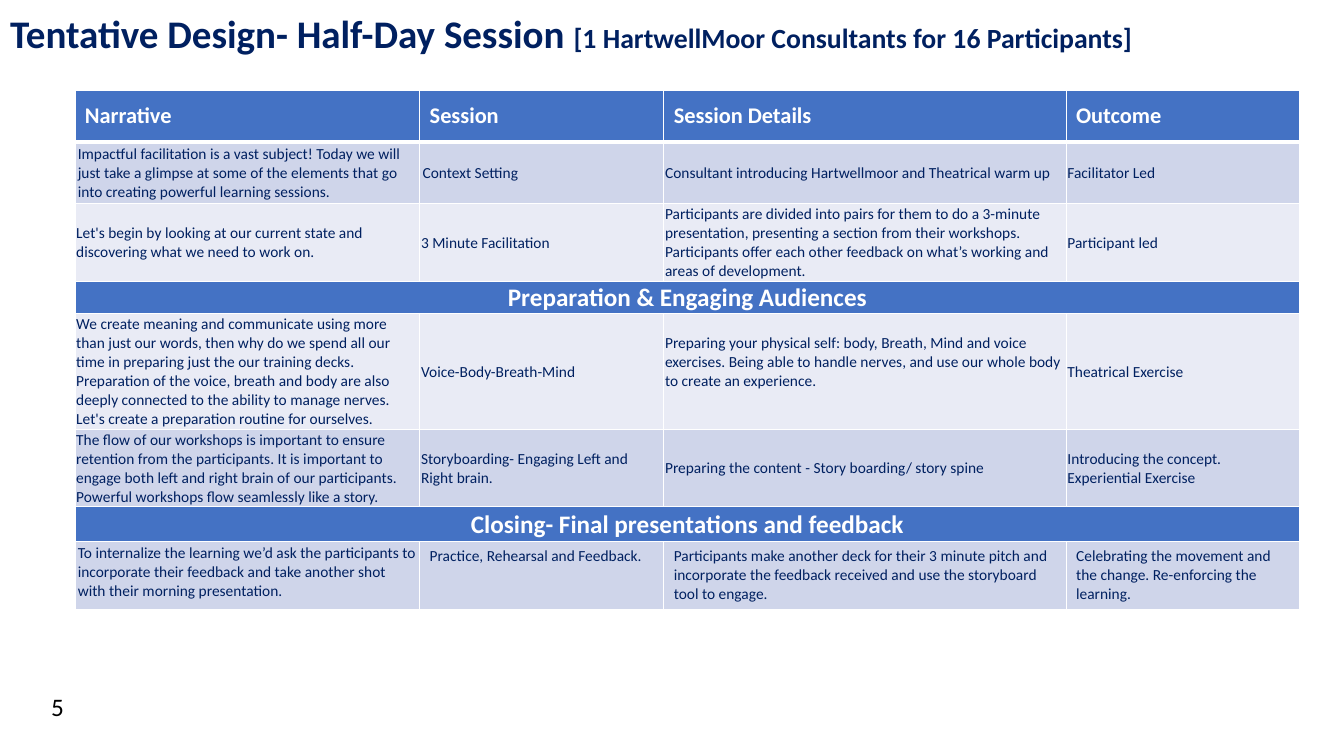
from lxml.etree import SubElement
from pptx import Presentation
from pptx.dml.color import RGBColor
from pptx.enum.shapes import MSO_SHAPE
from pptx.enum.text import MSO_ANCHOR, MSO_AUTO_SIZE, PP_ALIGN
from pptx.oxml.ns import qn
from pptx.util import Cm, Pt

COLORS = {"navy": "002060", "blue": "4472C4", "band": "CFD5EA",
          "light": "E9EBF5", "white": "FFFFFF", "black": "000000"}

# Cell margins in cm: left, top, right, bottom
WIDE = (0.25, 0.13, 0.25, 0.13)
SMALL = (0.07, 0.05, 0.07, 0.05)
TIGHT = (0.03, 0.03, 0.03, 0)
RAISED = (0.03, 0.03, 0.03, 0.5)

# Row styles: text size, bold, text colour, alignment
TEXT = {"head": (16, True, "white", PP_ALIGN.LEFT),
        "section": (18, True, "white", PP_ALIGN.CENTER),
        "body": (11, False, "navy", PP_ALIGN.LEFT)}

COL_WIDTHS = [8.69, 6.15, 10.14, 5.89]
MIDDLE, TOP = MSO_ANCHOR.MIDDLE, MSO_ANCHOR.TOP

# Rows: style, height in cm, fill, anchor, margins, texts
AGENDA = [
    ("head", 1.31, "blue", MIDDLE, [WIDE] * 4,
     ["Narrative", "Session", "Session Details", "Outcome"]),
    ("body", 1.55, "band", MIDDLE, [SMALL, SMALL, TIGHT, TIGHT],
     ["Impactful facilitation is a vast subject! Today we will just take a "
      "glimpse at some of the elements that go into creating powerful "
      "learning sessions.",
      "Context Setting",
      "Consultant introducing Hartwellmoor and Theatrical warm up",
      "Facilitator Led"]),
    ("body", 1.96, "light", MIDDLE, [TIGHT] * 4,
     ["Let's begin by looking at our current state and discovering what we "
      "need to work on.",
      "3 Minute Facilitation",
      "Participants are divided into pairs for them to do a 3-minute "
      "presentation, presenting a section from their workshops. Participants "
      "offer each other feedback on what’s working and areas of development.",
      "Participant led"]),
    ("section", 0.79, "blue", MIDDLE, [TIGHT],
     ["Preparation & Engaging Audiences"]),
    ("body", 2.92, "light", MIDDLE, [TIGHT, TIGHT, RAISED, TIGHT],
     ["We create meaning and communicate using more than just our words, "
      "then why do we spend all our time in preparing just the our training "
      "decks. Preparation of the voice, breath and body are also deeply "
      "connected to the ability to manage nerves. Let's create a preparation "
      "routine for ourselves.",
      "Voice-Body-Breath-Mind",
      "Preparing your physical self: body, Breath, Mind and voice exercises. "
      "Being able to handle nerves, and use our whole body to create an "
      "experience.",
      "Theatrical Exercise"]),
    ("body", 1.93, "band", MIDDLE, [TIGHT] * 4,
     ["The flow of our workshops is important to ensure retention from the "
      "participants. It is important to engage both left and right brain of "
      "our participants. Powerful workshops flow seamlessly like a story.",
      "Storyboarding- Engaging Left and Right brain.",
      "Preparing the content - Story boarding/ story spine",
      "Introducing the concept.\nExperiential Exercise"]),
    ("section", 0.89, "blue", MIDDLE, [TIGHT],
     ["Closing- Final presentations and feedback"]),
    ("body", 1.68, "band", TOP, [SMALL, WIDE, WIDE, WIDE],
     ["To internalize the learning we’d ask the participants to incorporate "
      "their feedback and take another shot with their morning presentation.",
      "Practice, Rehearsal and Feedback.",
      "Participants make another deck for their 3 minute pitch and "
      "incorporate the feedback received and use the storyboard tool to "
      "engage.",
      "Celebrating the movement and the change. Re-enforcing the learning."]),
]


class SlideBuilder:
    def __init__(self, slide, font="Calibri"):
        self.slide = slide
        self.font_name = font

    def style(self, font, size, color, bold=False):
        font.name, font.size, font.bold = self.font_name, Pt(size), bold
        font.color.rgb = RGBColor.from_string(COLORS[color])

    def title(self, box, runs):
        sp = self.slide.shapes.title
        sp.left, sp.top, sp.width, sp.height = map(Cm, box)
        tf = sp.text_frame
        tf.auto_size = MSO_AUTO_SIZE.NONE
        tf.vertical_anchor = MIDDLE
        p = tf.paragraphs[0]
        p.alignment, p.line_spacing = PP_ALIGN.LEFT, 0.9
        for text, size in runs:
            r = p.add_run()
            r.text = text
            self.style(r.font, size, "navy", True)

    def borders(self, cell, top, bottom):
        tc_pr = cell._tc.get_or_add_tcPr()
        for side, width in (("L", 1), ("R", 1), ("T", top), ("B", bottom)):
            ln = SubElement(tc_pr, qn(f"a:ln{side}"), w=str(Pt(width)))
            fill = SubElement(ln, qn("a:solidFill"))
            SubElement(fill, qn("a:srgbClr"), val=COLORS["white"])

    def cell(self, cell, text, kind, anchor, margins):
        cell.margin_left, cell.margin_top, cell.margin_right, cell.margin_bottom = map(Cm, margins)
        cell.vertical_anchor = anchor
        cell.text = text
        size, bold, color, align = TEXT[kind]
        for p in cell.text_frame.paragraphs:
            p.alignment = align
            self.style(p.font, size, color, bold)

    def table(self, left, top, widths, rows):
        height = sum(row[1] for row in rows)
        table = self.slide.shapes.add_table(
            len(rows), len(widths), Cm(left), Cm(top), Cm(sum(widths)), Cm(height)).table
        table.horz_banding = False
        for column, width in zip(table.columns, widths):
            column.width = Cm(width)
        for i, (kind, height, fill, anchor, margins, texts) in enumerate(rows):
            table.rows[i].height = Cm(height)
            cells = list(table.rows[i].cells)
            for c in cells:
                self.borders(c, 3 if i == 1 else 1, 3 if i == 0 else 1)
                c.fill.solid()
                c.fill.fore_color.rgb = RGBColor.from_string(COLORS[fill])
            if kind == "section":
                cells[0].merge(cells[-1])
            for c, text, margin in zip(cells, texts, margins):
                self.cell(c, text, kind, anchor, margin)

    def page_number(self, box, number):
        sp = self.slide.shapes.add_shape(MSO_SHAPE.ROUNDED_RECTANGLE, *map(Cm, box))
        sp.shadow.inherit = False
        sp.fill.background()
        sp.line.fill.background()
        tf = sp.text_frame
        tf.vertical_anchor = MIDDLE
        p = tf.paragraphs[0]
        p.text, p.alignment = number, PP_ALIGN.CENTER
        self.style(p.font, 18, "black")


def main():
    prs = Presentation()
    prs.slide_width, prs.slide_height = Cm(33.87), Cm(19.05)
    s = SlideBuilder(prs.slides.add_slide(prs.slide_layouts[5]))

    # Heading
    s.title((0, 0.15, 30.71, 1.52),
            [("Tentative Design- Half-Day Session ", 27.9),
             ("[1 HartwellMoor Consultants for 16 Participants]", 19.8)])

    # Session plan
    s.table(1.89, 2.27, COL_WIDTHS, AGENDA)

    # Page number
    s.page_number((0.61, 17.17, 1.68, 1.27), "5")

    prs.save("out.pptx")


if __name__ == "__main__":
    main()
